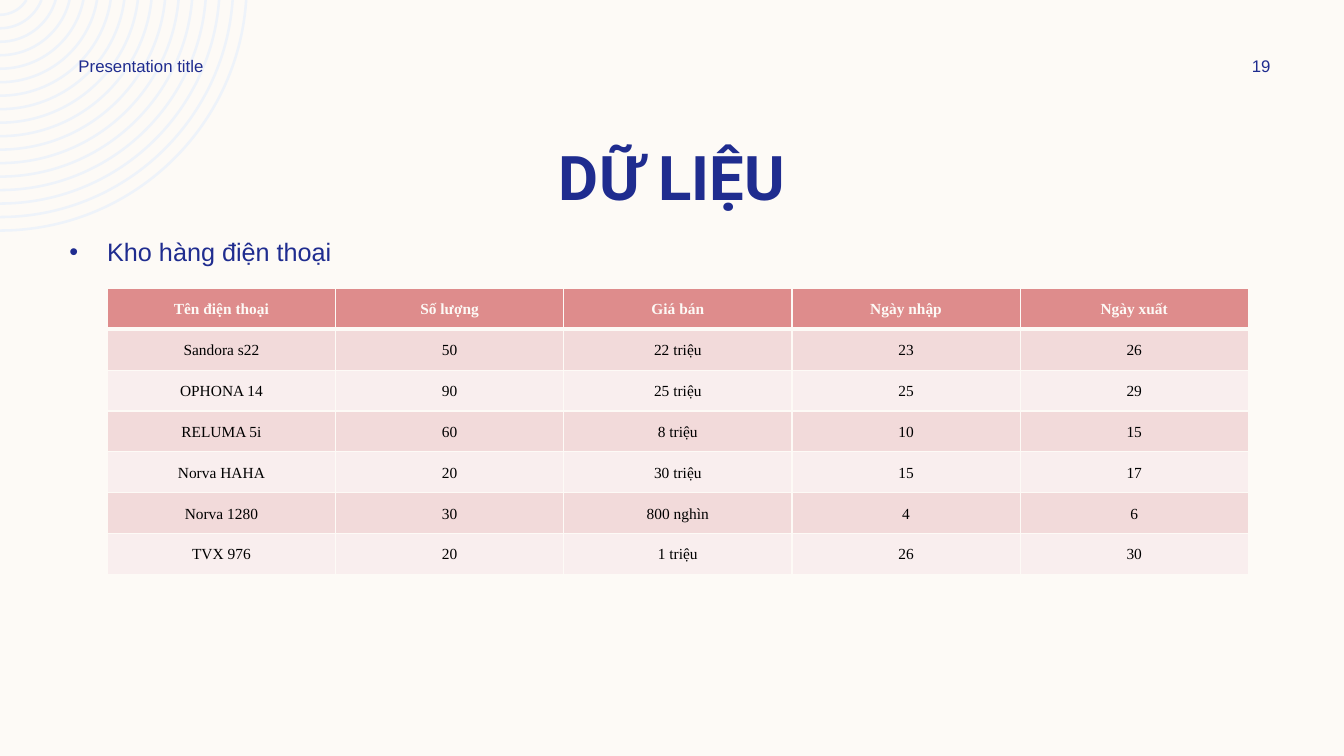
import math

from lxml import etree
from pptx import Presentation
from pptx.dml.color import RGBColor
from pptx.enum.text import MSO_ANCHOR, PP_ALIGN
from pptx.oxml.ns import qn
from pptx.util import Pt

TOP, MIDDLE = MSO_ANCHOR.TOP, MSO_ANCHOR.MIDDLE
LEFT, CENTER = PP_ALIGN.LEFT, PP_ALIGN.CENTER

CREAM = RGBColor(0xFD, 0xFA, 0xF6)
NAVY = RGBColor(0x1F, 0x2C, 0x8F)
PALE_BLUE = RGBColor(0xEE, 0xF3, 0xFA)
ROSE = RGBColor(0xDE, 0x8C, 0x8C)
DARK_BAND = RGBColor(0xF2, 0xDA, 0xDA)
LIGHT_BAND = RGBColor(0xF9, 0xEE, 0xEE)
BLACK = RGBColor(0, 0, 0)

STOCK = [
    ["Tên điện thoại", "Số lượng", "Giá bán", "Ngày nhập", "Ngày xuất"],
    ["Sandora s22", "50", "22 triệu", "23", "26"],
    ["OPHONA 14", "90", "25 triệu", "25", "29"],
    ["RELUMA 5i", "60", "8 triệu", "10", "15"],
    ["Norva HAHA", "20", "30 triệu", "15", "17"],
    ["Norva 1280", "30", "800 nghìn", "4", "6"],
    ["TVX 976", "20", "1 triệu", "26", "30"],
]


class SlideBuilder:
    def __init__(self, slide):
        self.slide = slide
        self.font = "Arial"
        self.table_font = "Times New Roman"
        self.color = NAVY

    def background(self, color):
        fill = self.slide.background.fill
        fill.solid()
        fill.fore_color.rgb = color

    def rings(self, center_y, outer_radius, step, width, count, color):
        """Draw the parts of concentric rings that lie on the slide, centred on its left edge."""
        builder = None
        for index in range(count):
            radius = outer_radius - index * step
            start = math.asin(-center_y / radius)
            handle = radius * 4 / 3 * math.tan((math.pi / 2 - start) / 4)
            x = radius * math.cos(start)
            bottom = center_y + radius
            curve = [(x, 0),
                     (x - handle * math.sin(start), handle * math.cos(start)),
                     (handle, bottom),
                     (0, bottom)]
            points = [(Pt(across), Pt(down)) for across, down in curve]
            if builder is None:
                builder = self.slide.shapes.build_freeform(*points[0])
            else:
                builder.move_to(*points[0])
            builder.add_line_segments(points[1:], close=False)
        shape = builder.convert_to_shape()
        self.bend(shape)
        shape.shadow.inherit = False
        shape.fill.background()
        shape.line.color.rgb = color
        shape.line.width = Pt(width)

    def bend(self, shape):
        """Turn each run of three line segments into one cubic curve."""
        lines = list(shape._element.iter(qn("a:lnTo")))
        for index in range(0, len(lines), 3):
            curve = etree.Element(qn("a:cubicBezTo"))
            lines[index].addprevious(curve)
            for line in lines[index:index + 3]:
                curve.append(line[0])
                line.getparent().remove(line)

    def format_text(self, paragraph, size, font, color, bold=False, align=LEFT):
        paragraph.alignment = align
        for run in paragraph.runs:
            run.font.size = Pt(size)
            run.font.name = font
            run.font.color.rgb = color
            run.font.bold = bold

    def text(self, text, left, top, width, height, size, font=None,
             bold=False, align=LEFT, anchor=TOP):
        box = self.slide.shapes.add_textbox(Pt(left), Pt(top), Pt(width), Pt(height))
        frame = box.text_frame
        frame.word_wrap = True
        frame.vertical_anchor = anchor
        frame.text = text
        paragraph = frame.paragraphs[0]
        self.format_text(paragraph, size, font or self.font, self.color, bold, align)
        return paragraph

    def bullet(self, paragraph, indent):
        properties = paragraph._p.get_or_add_pPr()
        properties.set("marL", str(Pt(indent)))
        properties.set("indent", str(-Pt(indent)))
        font = etree.SubElement(properties, qn("a:buFont"))
        font.set("typeface", self.font)
        etree.SubElement(properties, qn("a:buChar")).set("char", "•")

    def cell_borders(self, cell, color, widths):
        properties = cell._tc.get_or_add_tcPr()
        for side, width in zip("LRTB", widths):
            line = etree.SubElement(properties, qn(f"a:ln{side}"), w=str(Pt(width)))
            fill = etree.SubElement(line, qn("a:solidFill"))
            etree.SubElement(fill, qn("a:srgbClr"), val=str(color))

    def table(self, rows, left, top, width, height):
        table = self.slide.shapes.add_table(
            len(rows), len(rows[0]), Pt(left), Pt(top), Pt(width), Pt(height)).table
        for row_index, row in enumerate(rows):
            table.rows[row_index].height = Pt(height / len(rows))
            header = row_index == 0
            band = ROSE if header else DARK_BAND if row_index % 2 else LIGHT_BAND
            widths = (1, 1, 3 if row_index == 1 else 1, 3 if header else 1)
            for column_index, value in enumerate(row):
                cell = table.cell(row_index, column_index)
                self.cell_borders(cell, CREAM, widths)
                cell.fill.solid()
                cell.fill.fore_color.rgb = band
                cell.vertical_anchor = MIDDLE
                cell.margin_left = cell.margin_right = Pt(5.4)
                cell.margin_top = cell.margin_bottom = 0
                cell.text_frame.text = value
                paragraph = cell.text_frame.paragraphs[0]
                paragraph.line_spacing = 1.07
                paragraph.space_after = Pt(8)
                self.format_text(paragraph, 11, self.table_font,
                                 CREAM if header else BLACK, header, CENTER)


def main():
    presentation = Presentation()
    presentation.slide_width, presentation.slide_height = Pt(960), Pt(540)
    slide = presentation.slides.add_slide(presentation.slide_layouts[6])
    builder = SlideBuilder(slide)

    builder.background(CREAM)
    builder.rings(center_y=-11.5, outer_radius=176.2, step=9.63, width=1.8,
                  count=17, color=PALE_BLUE)
    builder.text("DỮ LIỆU", 60, 96, 840, 60.5, 44, font="Roboto", bold=True, align=CENTER)
    subtitle = builder.text("Kho hàng điện thoại", 42.5, 165.6, 875.5, 349, 18)
    subtitle.space_before = Pt(3.6)
    builder.bullet(subtitle, 27)
    builder.text("Presentation title", 49, 36, 252, 21.6, 12, anchor=MIDDLE)
    builder.text("19", 862, 36, 77.8, 21.6, 12, align=CENTER, anchor=MIDDLE)
    builder.table(STOCK, 76.7, 206, 815, 204.4)

    presentation.save("out.pptx")


if __name__ == "__main__":
    main()
